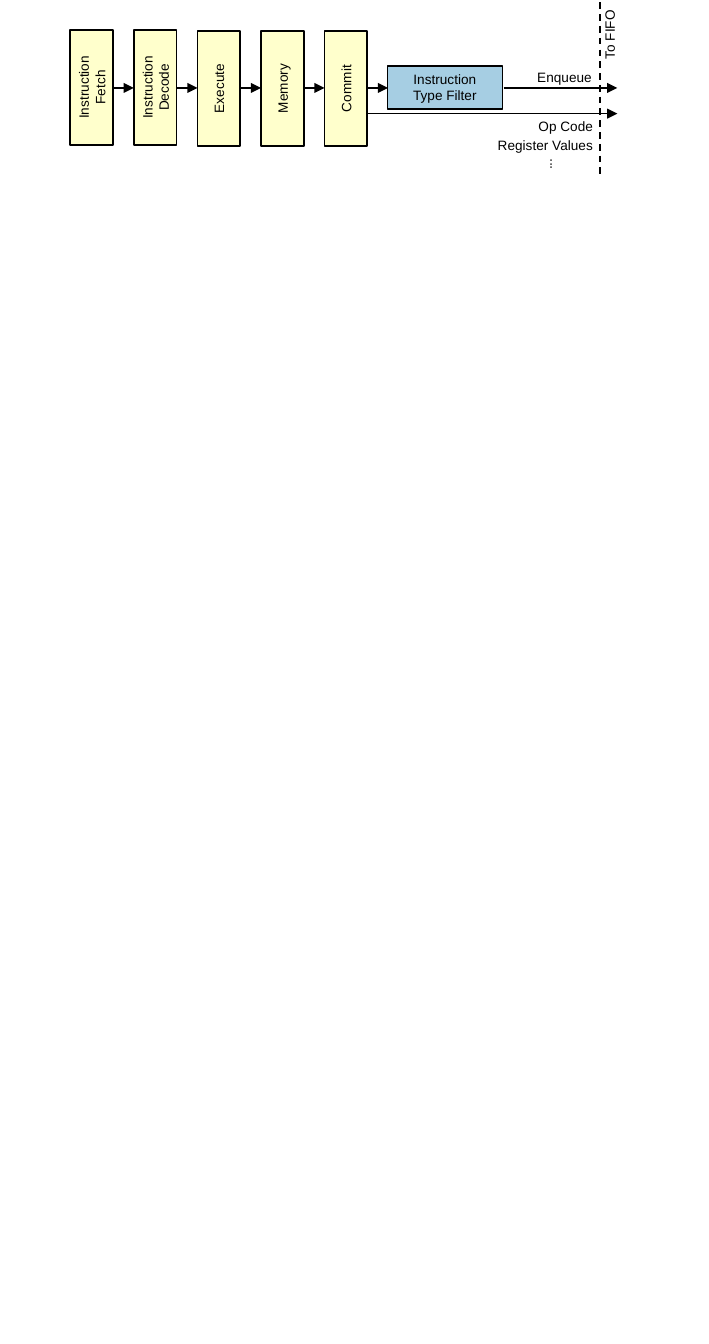
"""Draw a processor pipeline that feeds a FIFO through an instruction filter."""
from pptx import Presentation
from pptx.dml.color import RGBColor
from pptx.enum.dml import MSO_LINE
from pptx.enum.shapes import MSO_CONNECTOR, MSO_SHAPE
from pptx.enum.text import MSO_ANCHOR, PP_ALIGN
from pptx.oxml.ns import qn
from pptx.util import Inches, Pt
from lxml.etree import SubElement

BLACK = RGBColor(0x00, 0x00, 0x00)
CREAM = RGBColor(0xFF, 0xFF, 0xCC)
BLUE = RGBColor(0xA6, 0xCE, 0xE3)

STAGES = [
    (["Instruction", "Fetch"], 0.54),
    (["Instruction", "Decode"], 0.54),
    (["Execute"], 0.55),
    (["Memory"], 0.55),
    (["Commit"], 0.55),
]
LABELS = [
    ("Enqueue", 4.15, 0.55, 0.79, 0),
    ("To FIFO", 4.62, 0.27, 0.73, 270),
    ("Op Code", 3.92, 0.95, 1.03, 0),
    ("Register Values", 3.59, 1.11, 1.36, 0),
    ("...", 4.29, 1.3, 0.36, 270),
]
OUTPUTS = [(4.12, 0.72), (3, 0.93)]
LEFT, PITCH, LONG, SHORT = 0.28, 0.52, 0.94, 0.35
GAP, FLOW, END = 0.17, 0.72, 5.05
FIFO, TOP, BOTTOM = 4.91, 0.02, 1.44

deck = Presentation()
deck.slide_width, deck.slide_height = Inches(5.8), Inches(11)
slide = deck.slides.add_slide(deck.slide_layouts[6])


def write(shape, lines, align):
    frame = shape.text_frame
    frame.word_wrap = True
    frame.vertical_anchor = MSO_ANCHOR.MIDDLE
    frame.text = "\n".join(lines)
    for para in frame.paragraphs:
        para.alignment = align
        para.font.size = Pt(8)
        para.font.name = "Arial"
        para.font.color.rgb = BLACK


def add_box(lines, left, top, fill, turn=0):
    box = slide.shapes.add_shape(
        MSO_SHAPE.RECTANGLE, Inches(left), Inches(top), Inches(LONG), Inches(SHORT))
    box.rotation = turn
    box.shadow.inherit = False
    box.fill.solid()
    box.fill.fore_color.rgb = fill
    box.line.color.rgb = BLACK
    box.line.width = Pt(1)
    write(box, lines, PP_ALIGN.CENTER)


def add_label(text, left, top, width, turn):
    label = slide.shapes.add_textbox(
        Inches(left), Inches(top), Inches(width), Inches(0.16))
    label.rotation = turn
    write(label, [text], PP_ALIGN.RIGHT)


def add_line(x1, y1, x2, y2):
    line = slide.shapes.add_connector(
        MSO_CONNECTOR.STRAIGHT, Inches(x1), Inches(y1), Inches(x2), Inches(y2))
    line.line.color.rgb = BLACK
    line.line.width = Pt(1)
    SubElement(line._element.spPr, qn("a:effectLst"))
    return line


def add_arrow(x1, x2, y):
    arrow = add_line(x1, y, x2, y)
    SubElement(arrow.line._get_or_add_ln(), qn("a:tailEnd"), type="triangle")


for i, (lines, top) in enumerate(STAGES):
    left = LEFT + i * PITCH
    add_box(lines, left, top, CREAM, 270)
    edge = left + (LONG + SHORT) / 2
    add_arrow(edge, edge + GAP, FLOW)

add_box(["Instruction Type Filter"], 3.17, 0.54, BLUE)
for start, y in OUTPUTS:
    add_arrow(start, END, y)
add_line(FIFO, TOP, FIFO, BOTTOM).line.dash_style = MSO_LINE.DASH
for label in LABELS:
    add_label(*label)

deck.save("out.pptx")
